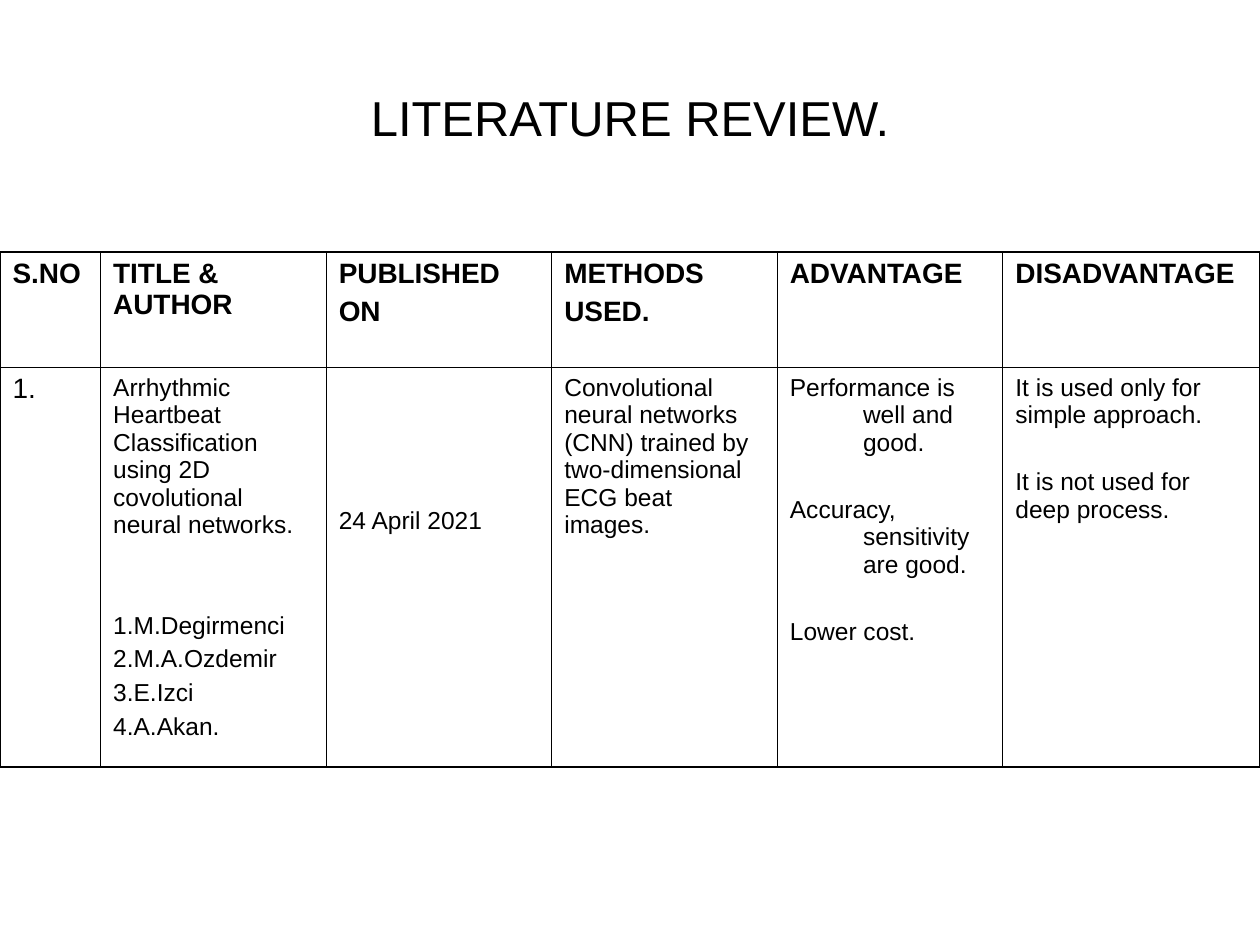
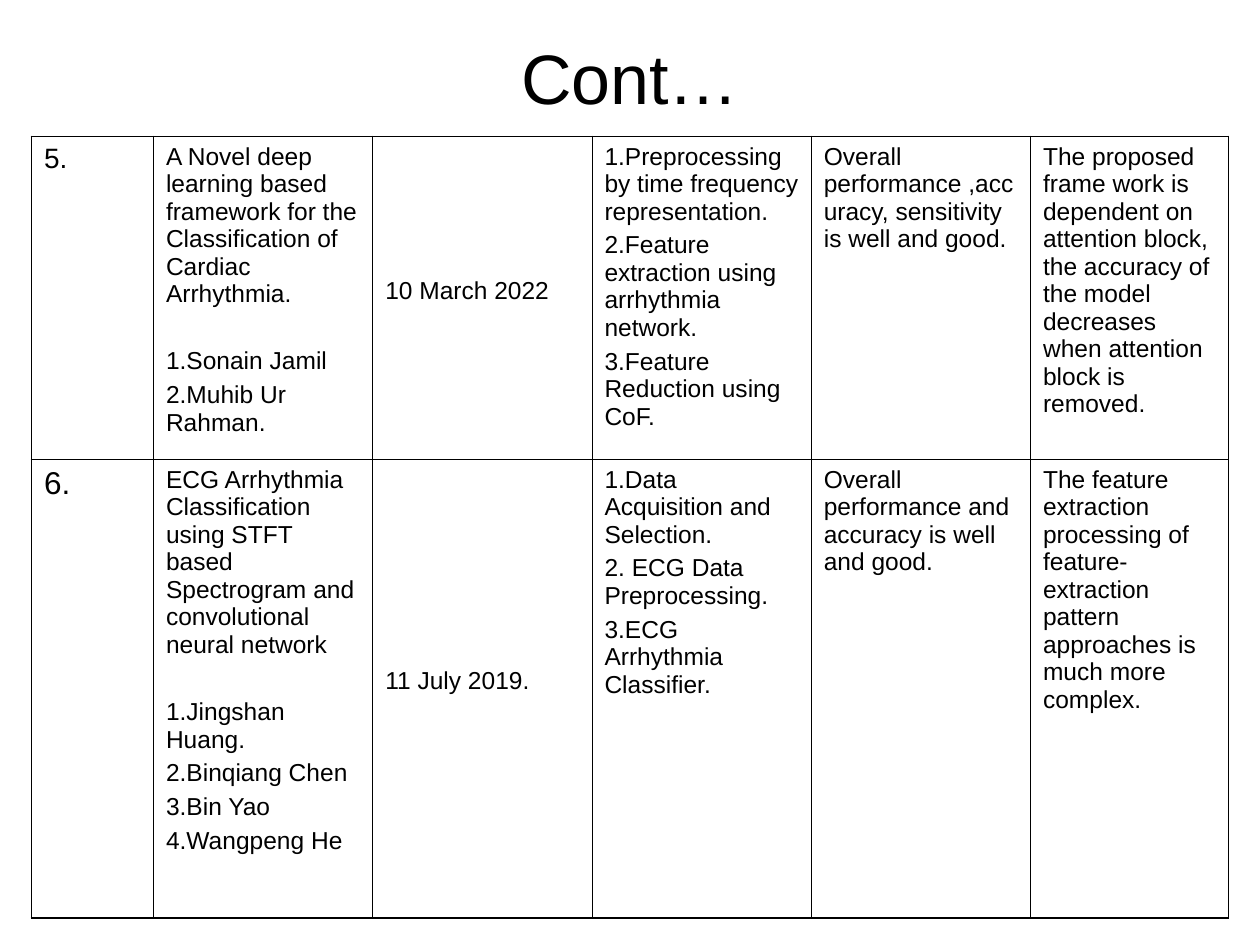
import dataclasses

import pptx
import pptx.dml.color
import pptx.enum.text
import pptx.oxml
import pptx.oxml.ns
import pptx.util

Pt = pptx.util.Pt


@dataclasses.dataclass(frozen=True)
class Theme:
    font: str = "Arial"
    ink: str = "000000"
    body: int = 14
    head: int = 16
    large: int = 18
    thin: float = 0.45
    thick: float = 1.08
    side: float = 7.2
    edge: float = 3.6
    hang: float = 41.8


THEME = Theme()


@dataclasses.dataclass
class Cell:
    """Lines are strings, or (skip, text) to leave that many lines free above."""
    lines: list
    size: int = THEME.body
    bold: bool = False
    hang: float = 0


def write(frame, lines, size=THEME.body, bold=False, hang=0, align=None):
    frame.word_wrap = True
    frame.margin_left = frame.margin_right = Pt(THEME.side)
    frame.margin_top = frame.margin_bottom = Pt(THEME.edge)
    gap = size / 4
    step = size * 1.117 + gap
    for i, line in enumerate(lines):
        skip, text = line if isinstance(line, tuple) else (0, line)
        para = frame.paragraphs[0] if i == 0 else frame.add_paragraph()
        para.space_before = Pt(gap + skip * step if i else 0)
        para.alignment = align
        if hang:
            props = para._p.get_or_add_pPr()
            props.set("marL", str(Pt(hang)))
            props.set("indent", str(-Pt(hang)))
        run = para.add_run()
        run.text = text
        font = run.font
        font.name, font.size, font.bold = THEME.font, Pt(size), bold
        font.color.rgb = pptx.dml.color.RGBColor.from_string(THEME.ink)


def fill_cell(cell, data):
    first = data.lines[0]
    write(cell.text_frame, data.lines, size=data.size, bold=data.bold,
          hang=data.hang)
    cell.margin_left = cell.margin_right = Pt(THEME.side)
    cell.margin_bottom = Pt(THEME.edge)
    skip = first[0] if isinstance(first, tuple) else 0
    cell.margin_top = Pt(THEME.edge + skip * (data.size * 1.117 + data.size / 4))
    cell.vertical_anchor = pptx.enum.text.MSO_ANCHOR.TOP
    cell.fill.background()


def rule_cell(cell, outer):
    """Draw the four borders; outer tells which of L, R, T, B face outward."""
    props = cell._tc.get_or_add_tcPr()
    for i, (side, out) in enumerate(zip("LRTB", outer)):
        width = Pt(THEME.thick if out else THEME.thin)
        props.insert(i, pptx.oxml.parse_xml(
            f'<a:ln{side} {pptx.oxml.ns.nsdecls("a")} w="{width}">'
            f'<a:solidFill><a:srgbClr val="{THEME.ink}"/></a:solidFill>'
            f'</a:ln{side}>'))


def add_grid(slide, box, first, mid, highs, rows):
    """Fill box with a table: a first column, four equal ones, and the rest."""
    left, top, wide = box
    widths = [first] + [mid] * 4 + [wide - first - 4 * mid]
    grid = slide.shapes.add_table(
        len(rows), len(widths), Pt(left), Pt(top), Pt(wide), Pt(sum(highs))).table
    grid.first_row = grid.horz_banding = False
    for col, width in zip(grid.columns, widths):
        col.width = Pt(width)
    for r, (high, row) in enumerate(zip(highs, rows)):
        grid.rows[r].height = Pt(high)
        for c, data in enumerate(row):
            cell = grid.cell(r, c)
            fill_cell(cell, data)
            rule_cell(cell, (c == 0, c == len(widths) - 1,
                             r == 0, r == len(rows) - 1))


def add_title(slide, box, text, size):
    title = slide.shapes.title
    title.left, title.top, title.width, title.height = map(Pt, box)
    frame = title.text_frame
    frame.auto_size = pptx.enum.text.MSO_AUTO_SIZE.NONE
    frame.vertical_anchor = pptx.enum.text.MSO_ANCHOR.MIDDLE
    write(frame, [text], size=size, align=pptx.enum.text.PP_ALIGN.CENTER)


def add_page(deck, title, size, high, **grid):
    slide = deck.slides.add_slide(deck.slide_layouts[5])
    add_title(slide, (36, 21.6, 648, high), title, size)
    add_grid(slide, **grid)


HEADS = [Cell(lines, THEME.head, True) for lines in (
    ["S.NO"], ["TITLE & AUTHOR"], ["PUBLISHED", "ON"],
    ["METHODS", "USED."], ["ADVANTAGE"], ["DISADVANTAGE"])]

FIRST = [
    Cell(["1."], THEME.head),
    Cell(["Arrhythmic Heartbeat Classification using 2D covolutional "
          "neural networks.",
          (2, "1.M.Degirmenci"), "2.M.A.Ozdemir", "3.E.Izci", "4.A.Akan."]),
    Cell([(4, "24 April 2021")]),
    Cell(["Convolutional neural networks (CNN) trained by two-dimensional "
          "ECG beat images."]),
    Cell(["Performance is well and good.",
          (1, "Accuracy, sensitivity are good."), (1, "Lower cost.")],
         hang=THEME.hang),
    Cell(["It is used only for simple approach.",
          (1, "It is not used for deep process.")]),
]

FIFTH = [
    Cell(["5."], THEME.head),
    Cell(["A Novel deep learning based framework for the Classification of "
          "Cardiac Arrhythmia.",
          (1, "1.Sonain Jamil"), "2.Muhib Ur Rahman."]),
    Cell([(4, "10 March 2022")]),
    Cell(["1.Preprocessing by time frequency representation.",
          "2.Feature extraction using arrhythmia network.",
          "3.Feature Reduction using CoF."]),
    Cell(["Overall performance ,accuracy, sensitivity is well and good."]),
    Cell(["The proposed frame work is dependent on attention block, the "
          "accuracy of the model decreases when attention block is removed."]),
]

SIXTH = [
    Cell(["6."], THEME.large),
    Cell(["ECG Arrhythmia Classification using STFT based Spectrogram and "
          "convolutional neural network",
          (1, "1.Jingshan Huang."), "2.Binqiang Chen", "3.Bin Yao",
          "4.Wangpeng He"]),
    Cell([(6, "11 July 2019.")]),
    Cell(["1.Data Acquisition and Selection.", "2. ECG Data Preprocessing.",
          "3.ECG Arrhythmia Classifier."]),
    Cell(["Overall performance and accuracy is well and good."]),
    Cell(["The feature extraction processing of feature-extraction pattern "
          "approaches is much more complex."]),
]


def main():
    deck = pptx.Presentation()
    deck.slide_width, deck.slide_height = Pt(720), Pt(540)
    add_page(deck, "LITERATURE REVIEW.", 28, 90, box=(0, 144, 720),
             first=57.5, mid=128.9, highs=[66, 228.5], rows=[HEADS, FIRST])
    add_page(deck, "Cont…", 40, 44.6, box=(18, 78, 684),
             first=69.7, mid=125.3, highs=[184.7, 262], rows=[FIFTH, SIXTH])
    deck.save("out.pptx")


if __name__ == "__main__":
    main()
